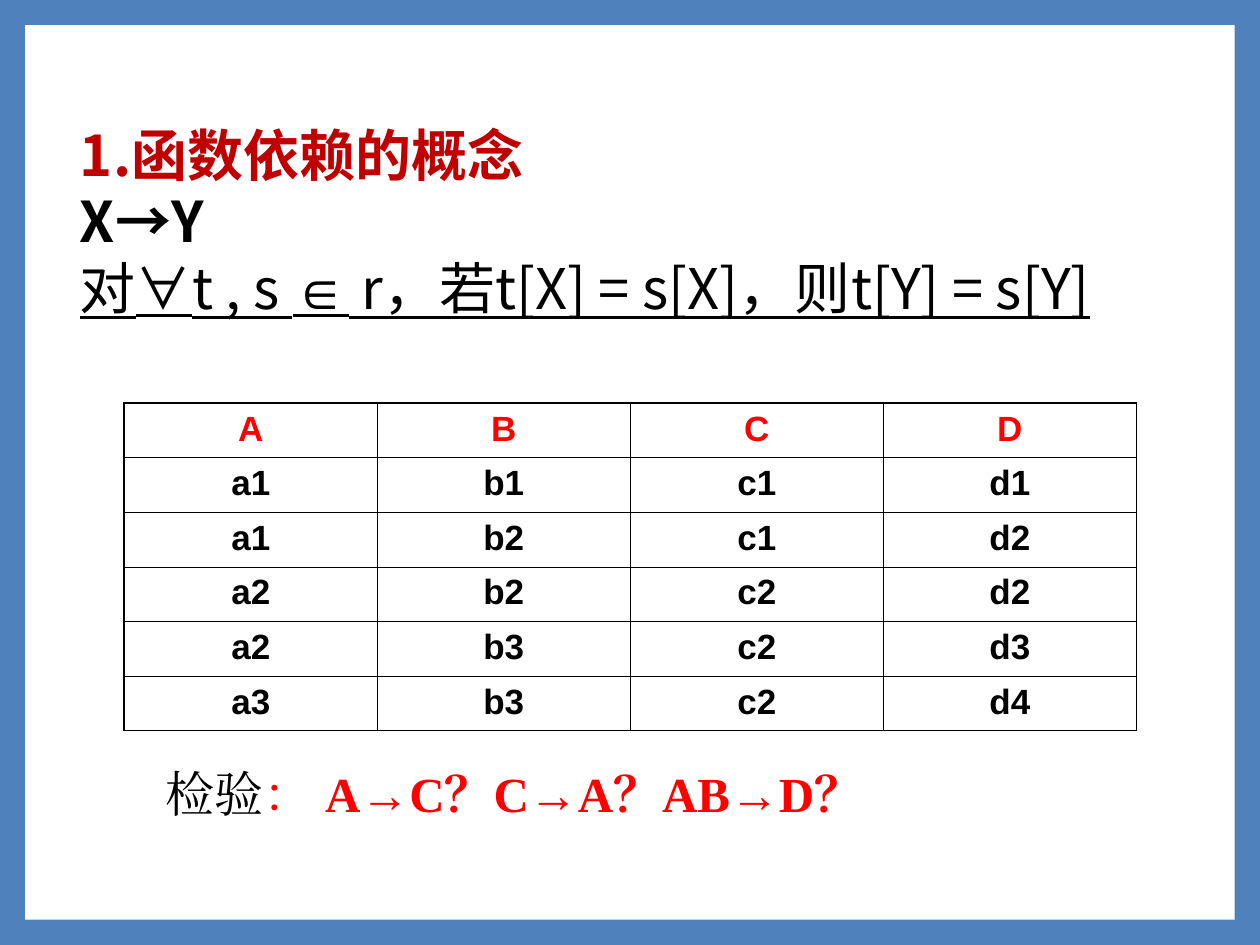
from lxml.etree import SubElement
from pptx import Presentation
from pptx.dml.color import RGBColor
from pptx.enum.shapes import MSO_SHAPE as Shape
from pptx.enum.text import MSO_ANCHOR as Anchor, MSO_AUTO_SIZE as AutoSize, PP_ALIGN as Align
from pptx.oxml.ns import qn
from pptx.util import Pt

COLORS = {"frame": "4F81BD", "panel": "FFFFFF", "heading": "C00000",
          "accent": "FF0000", "ink": "000000"}
SANS, LATIN, SERIF = "Noto Sans CJK SC", "Arial", "Times New Roman"
INSETS = {"margin_left": Pt(7.2), "margin_right": Pt(7.2),
          "margin_top": Pt(3.6), "margin_bottom": Pt(3.6)}
RELATION = ["A B C D", "a1 b1 c1 d1", "a1 b2 c1 d2",
            "a2 b2 c2 d2", "a2 b3 c2 d3", "a3 b3 c2 d4"]


def rgb(name):
    """Return the named colour."""
    return RGBColor.from_string(COLORS[name])


def apply(target, values):
    """Set every attribute in values on target."""
    for key, value in values.items():
        setattr(target, key, value)


def add_run(paragraph, text, face, color="ink", **style):
    """Append a run with the same face for Latin and East Asian text."""
    run = paragraph.add_run()
    run.text = text
    apply(run.font, {"name": face, **style})
    run.font.color.rgb = rgb(color)
    SubElement(run.font._element, qn("a:ea"), typeface=face)


def prepare_frame(frame, **values):
    """Give a text frame its insets, wrapping and anchor."""
    apply(frame, {**INSETS, "word_wrap": True, "auto_size": AutoSize.NONE,
                  "vertical_anchor": Anchor.TOP, **values})


def add_panel(slide, left, top, width, height):
    """Draw the white panel behind the title on the blue background."""
    slide.background.fill.solid()
    slide.background.fill.fore_color.rgb = rgb("frame")
    panel = slide.shapes.add_shape(Shape.RECTANGLE, left, top, width, height)
    panel.shadow.inherit = False
    panel.fill.solid()
    panel.fill.fore_color.rgb = rgb("panel")
    panel.line.fill.background()
    slide.shapes.title.element.addprevious(panel.element)


def add_definition(slide, left, top, width, height):
    """Place the heading and the two lines that define the dependency."""
    line = height / 3
    title = slide.shapes.title
    apply(title, {"left": left, "top": top, "width": width, "height": int(line)})
    prepare_frame(title.text_frame, margin_left=Pt(28.4), margin_bottom=0)
    heading = title.text_frame.paragraphs[0]
    apply(heading, {"alignment": Align.LEFT, "line_spacing": Pt(38.4)})
    add_run(heading, "1.函数依赖的概念", SANS, "heading", size=Pt(32), bold=True)

    box = slide.shapes.add_textbox(left, int(top + line), width, int(2 * line))
    prepare_frame(box.text_frame, margin_left=Pt(28.4), margin_top=0)
    arrow, rule = box.text_frame.paragraphs[0], box.text_frame.add_paragraph()
    for paragraph in (arrow, rule):
        apply(paragraph, {"alignment": Align.JUSTIFY, "line_spacing": Pt(38.4)})
    add_run(arrow, "X→Y", SANS, size=Pt(32), bold=True)
    for text, face in (("对", SANS), ("∀", LATIN), ("t , s ", SANS), ("∈", LATIN),
                       (" r，若t[X] = s[X]，则t[Y] = s[Y]", SANS)):
        add_run(rule, text, face, size=Pt(32), underline=True)


def draw_borders(cell, widths):
    """Draw the cell's four borders with the given widths."""
    properties = cell._tc.get_or_add_tcPr()
    for index, (side, width) in enumerate(widths.items()):
        border = SubElement(properties, qn(f"a:{side}"), w=str(Pt(width)))
        properties.insert(index, border)
        fill = SubElement(border, qn("a:solidFill"))
        SubElement(fill, qn("a:srgbClr"), val=COLORS["ink"])


def add_relation(slide, left, top, width, height):
    """Place the relation table with thin inner and thicker outer borders."""
    rows = [line.split() for line in RELATION]
    last_row, last_column = len(rows) - 1, len(rows[0]) - 1
    table = slide.shapes.add_table(len(rows), len(rows[0]), left, top, width, height).table
    apply(table, {"first_row": False, "horz_banding": False})
    for r, row in enumerate(rows):
        for c, value in enumerate(row):
            cell = table.cell(r, c)
            apply(cell, INSETS)
            cell.fill.background()
            outer = {"lnL": c == 0, "lnR": c == last_column,
                     "lnT": r == 0, "lnB": r == last_row}
            draw_borders(cell, {side: 1.08 if edge else 0.45
                                for side, edge in outer.items()})
            paragraph = cell.text_frame.paragraphs[0]
            paragraph.alignment = Align.CENTER
            add_run(paragraph, value, LATIN, "ink" if r else "accent",
                    size=Pt(20), bold=True)


def add_check(slide, left, top, width, height):
    """Place the line of dependencies to check."""
    box = slide.shapes.add_textbox(left, top, width, height)
    prepare_frame(box.text_frame)
    check = box.text_frame.paragraphs[0]
    add_run(check, "检验", SERIF, size=Pt(28))
    add_run(check, "： ", SERIF, "accent", size=Pt(28))
    add_run(check, "A→C？C→A？AB→D？", SERIF, "accent", size=Pt(28), bold=True)


def main():
    """Build the slide and save it."""
    deck = Presentation()
    apply(deck, {"slide_width": Pt(720), "slide_height": Pt(540)})
    slide = deck.slides.add_slide(deck.slide_layouts[5])
    add_panel(slide, Pt(14.4), Pt(14.4), Pt(691.2), Pt(511.2))
    add_definition(slide, Pt(17.3), Pt(65.5), Pt(686.2), Pt(122.4))
    add_relation(slide, Pt(71), Pt(230.4), Pt(578.4), Pt(187.2))
    add_check(slide, Pt(87.8), Pt(432.7), Pt(521.3), Pt(41))
    deck.save("out.pptx")


if __name__ == "__main__":
    main()
